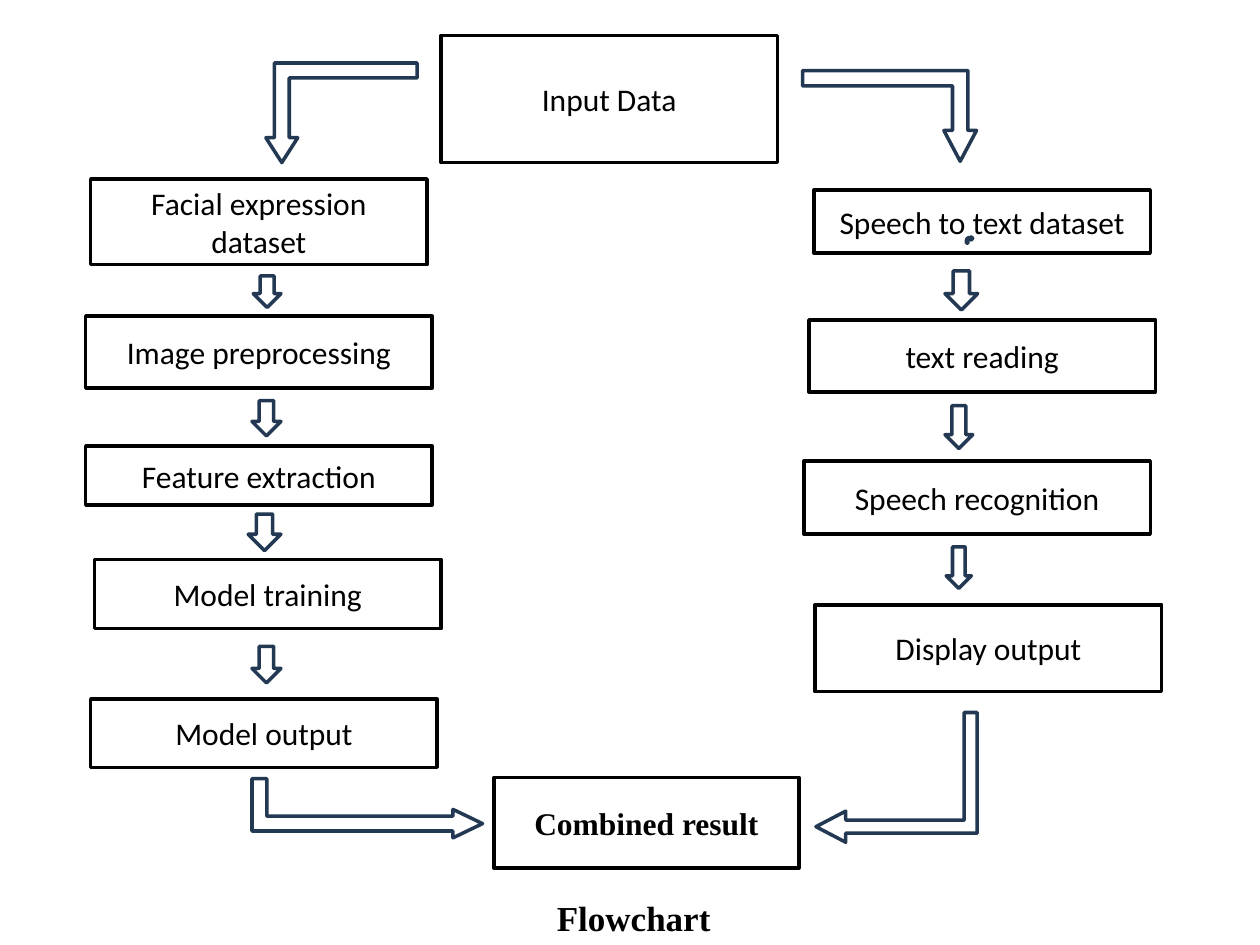
from pptx import Presentation
from pptx.dml.color import RGBColor
from pptx.enum import shapes, text
from pptx.util import Pt

PX = 9144
COLORS = {"paper": "FFFFFF", "ink": "000000", "navy": "233953", "blue": "4F81BD"}
SHAPE = shapes.MSO_SHAPE
BODY = {"name": "Calibri", "size": Pt(18), "bold": False}
RESULT = {"name": "Times New Roman", "size": Pt(18), "bold": True}
CAPTION = {"name": "Times New Roman", "size": Pt(20), "bold": True}
FRAME = {"word_wrap": True, "vertical_anchor": text.MSO_ANCHOR.MIDDLE}
CAPTION_FRAME = {"word_wrap": True, "auto_size": text.MSO_AUTO_SIZE.SHAPE_TO_FIT_TEXT}

LEFT_STEPS = [
    ("Facial expression dataset", (4, 0, 267, 68)),
    ("Image preprocessing", (0, 109, 275, 57)),
    ("Feature extraction", (0, 212, 275, 47)),
    ("Model training", (7, 302, 275, 55)),
    ("Model output", (4, 413, 275, 54)),
]
LEFT_ARROWS = [(133, 77, 22, 25), (132, 176, 23, 28), (129, 266, 26, 29), (132, 371, 23, 29)]
RIGHT_STEPS = [
    ("Speech to text dataset", (8, 0, 267, 50)),
    ("text reading", (4, 103, 275, 57)),
    ("Speech recognition", (0, 215, 275, 58)),
    ("Display output", (9, 329, 275, 69)),
]
RIGHT_ARROWS = [(112, 64, 26, 31), (112, 171, 22, 34), (113, 283, 20, 33)]


def rgb(key):
    """Return the named colour."""
    return RGBColor.from_string(COLORS[key])


def set_all(obj, values):
    """Set every attribute in a dict of values."""
    for name, value in values.items():
        setattr(obj, name, value)


def scaled(box, origin=(0, 0)):
    """Turn a px box, relative to an origin, into EMU."""
    x, y, w, h = box
    return [v * PX for v in (x + origin[0], y + origin[1], w, h)]


def add_outline(s, kind, box, line, fill="paper", origin=(0, 0)):
    """Add a preset shape with a two-point outline."""
    sp = s.shapes.add_shape(kind, *scaled(box, origin))
    sp.shadow.inherit = False
    if fill:
        sp.fill.solid()
        sp.fill.fore_color.rgb = rgb(fill)
    else:
        sp.fill.background()
    sp.line.color.rgb = rgb(line)
    sp.line.width = Pt(2)
    return sp


def write(sp, label, font, frame):
    """Write one centred line of text into a shape."""
    tf = sp.text_frame
    set_all(tf, frame)
    p = tf.paragraphs[0]
    p.alignment = text.PP_ALIGN.CENTER
    r = p.add_run()
    r.text = label
    set_all(r.font, font)
    r.font.color.rgb = rgb("ink")
    return p


def add_step(s, label, box, font=BODY, origin=(0, 0)):
    """Add a labelled rectangle."""
    write(add_outline(s, SHAPE.RECTANGLE, box, "ink", origin=origin), label, font, FRAME)


def add_branch(s, origin, steps, arrows):
    """Add a column of steps with down arrows between them."""
    for label, box in steps:
        add_step(s, label, box, origin=origin)
    for box in arrows:
        add_outline(s, SHAPE.DOWN_ARROW, box, "navy", origin=origin)


def add_bend(s, box, rotation, adjust, flip=False, fill="paper"):
    """Add a bent arrow that links a branch to a central box."""
    sp = add_outline(s, SHAPE.BENT_UP_ARROW, box, "navy", fill)
    sp.rotation = rotation
    for i, value in enumerate(adjust):
        sp.adjustments[i] = value
    if flip:
        sp.element.spPr.get_or_add_xfrm().set("flipH", "1")


def add_source(s):
    """Add the input box and the arrows that leave it."""
    add_step(s, "Input Data", (350, 28, 267, 101))
    add_bend(s, (211, 50, 120, 79), 180, (0.15, 0.16, 0.25))
    add_bend(s, (637, 56, 138, 72), 180, (0.17, 0.18, 0.34), flip=True)


def add_result(s):
    """Add the result box and the arrows that reach it."""
    add_step(s, "Combined result", (392, 617, 242, 72), RESULT)
    add_bend(s, (268, 550, 47, 183), 90, (0.25, 0.24, 0.5), fill=None)
    add_bend(s, (660, 553, 103, 128), 270, (0.1, 0.12, 0.23), flip=True)


def add_caption(s, box):
    """Add the caption below the chart."""
    sp = s.shapes.add_textbox(*scaled(box))
    write(sp, "Flowchart", CAPTION, CAPTION_FRAME).line_spacing = 1.5


def main():
    """Build the flowchart slide."""
    prs = Presentation()
    prs.slide_width, prs.slide_height = 1000 * PX, 750 * PX
    s = prs.slides.add_slide(prs.slide_layouts[6])
    add_caption(s, (320, 690, 366, 55))
    add_branch(s, (68, 142), LEFT_STEPS, LEFT_ARROWS)
    add_branch(s, (638, 151), RIGHT_STEPS, RIGHT_ARROWS)
    add_outline(s, SHAPE.BENT_ARROW, (767, 188, 5, 5), "navy", "blue")
    add_source(s)
    add_result(s)
    prs.save("out.pptx")


if __name__ == "__main__":
    main()
